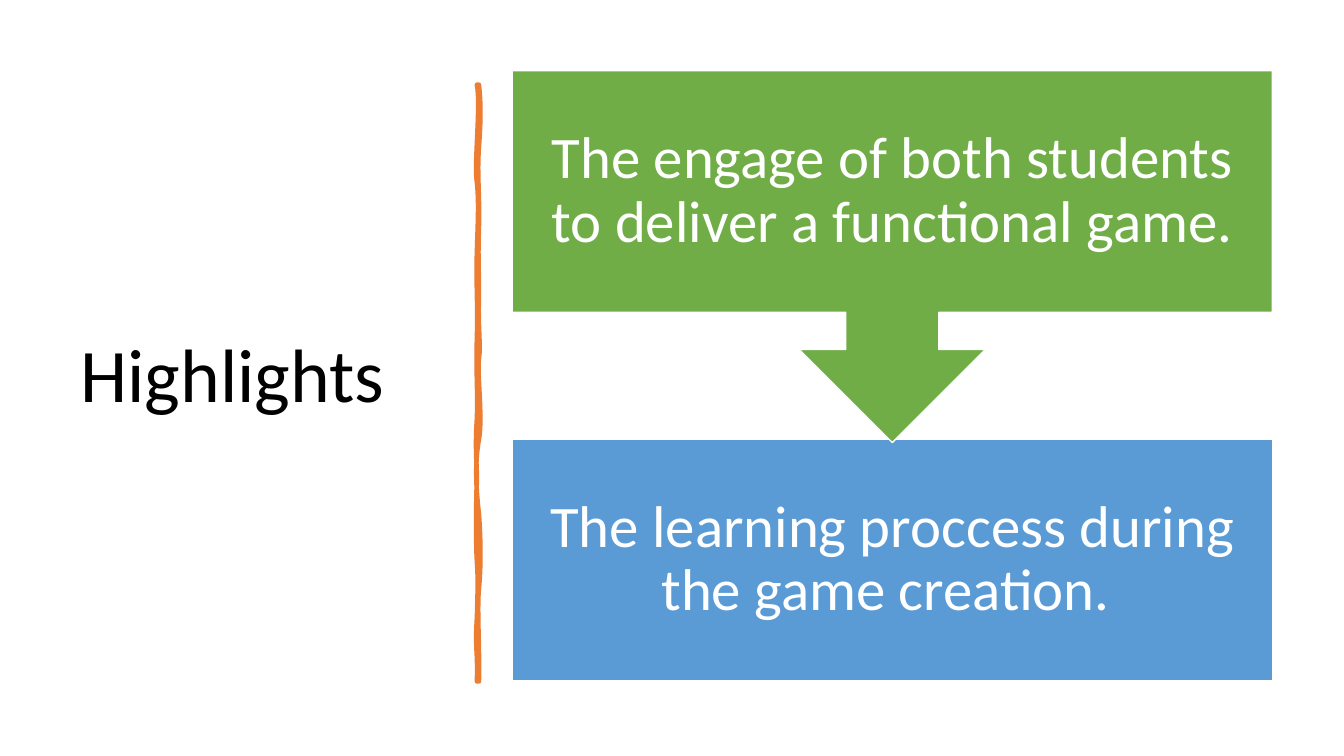
from lxml import etree
from pptx import Presentation
from pptx.dml.color import RGBColor
from pptx.enum.shapes import MSO_SHAPE
from pptx.enum.text import MSO_ANCHOR, PP_ALIGN
from pptx.oxml.ns import qn
from pptx.util import Inches, Pt

RECTANGLE = MSO_SHAPE.RECTANGLE
CALLOUT = MSO_SHAPE.DOWN_ARROW_CALLOUT
MIDDLE = MSO_ANCHOR.MIDDLE
LEFT, CENTER = PP_ALIGN.LEFT, PP_ALIGN.CENTER

FONT = "Calibri"
BLACK, WHITE = "000000", "FFFFFF"
GREEN, BLUE, ORANGE = "70AD47", "5B9BD5", "ED7D31"

BOX_LEFT, BOX_WIDTH = 5.08, 7.54
BRUSH_START = (4.75, 0.84)
BRUSH_CURVES = [
    ((4.77, 1.02), (4.77, 1.19), (4.75, 1.46)),
    ((4.73, 1.73), (4.76, 1.95), (4.75, 2.26)),
    ((4.74, 2.57), (4.75, 2.62), (4.75, 2.94)),
    ((4.74, 3.25), (4.77, 3.42), (4.75, 3.56)),
    ((4.73, 3.70), (4.79, 4.14), (4.75, 4.36)),
    ((4.71, 4.57), (4.72, 4.84), (4.75, 5.10)),
    ((4.77, 5.36), (4.77, 5.64), (4.75, 5.84)),
    ((4.73, 6.03), (4.76, 6.50), (4.75, 6.76)),
    ((4.74, 6.76), (4.73, 6.76), (4.73, 6.76)),
    ((4.74, 6.46), (4.71, 6.44), (4.73, 6.13)),
    ((4.74, 5.83), (4.74, 5.70), (4.73, 5.57)),
    ((4.72, 5.44), (4.72, 4.95), (4.73, 4.77)),
    ((4.73, 4.59), (4.71, 4.45), (4.73, 4.15)),
    ((4.74, 3.86), (4.72, 3.73), (4.73, 3.35)),
    ((4.74, 2.98), (4.72, 2.81), (4.73, 2.50)),
    ((4.74, 2.18), (4.75, 2.00), (4.73, 1.81)),
    ((4.70, 1.63), (4.77, 1.04), (4.73, 0.84)),
]


def color(value):
    return RGBColor.from_string(value)


def style_shape(shape, fill, line, line_width):
    shape.shadow.inherit = False
    shape.fill.solid()
    shape.fill.fore_color.rgb = color(fill)
    shape.line.color.rgb = color(line)
    shape.line.width = Pt(line_width)


def write_text(shape, text, size, text_color, alignment, inset=None):
    frame = shape.text_frame
    frame.word_wrap = True
    frame.vertical_anchor = MIDDLE
    if inset is not None:
        frame.margin_left = frame.margin_right = Inches(inset)
        frame.margin_top = frame.margin_bottom = Inches(inset)
    paragraph = frame.paragraphs[0]
    paragraph.alignment = alignment
    paragraph.line_spacing = 0.9
    run = paragraph.add_run()
    run.text = text
    run.font.name = FONT
    run.font.size = Pt(size)
    run.font.color.rgb = color(text_color)


def add_title(slide, text):
    title = slide.shapes.add_textbox(Inches(0.7), Inches(0.69), Inches(3.74), Inches(6.11))
    write_text(title, text, 54, BLACK, LEFT)


def add_step(slide, kind, top, height, fill, text):
    step = slide.shapes.add_shape(
        kind, Inches(BOX_LEFT), Inches(top), Inches(BOX_WIDTH), Inches(height))
    style_shape(step, fill, WHITE, 1)
    write_text(step, text, 42, WHITE, CENTER, inset=0.33)


def bend_segments(shape):
    segments = list(shape.element.iter(qn("a:lnTo")))
    for first in range(0, len(segments), 3):
        group = segments[first:first + 3]
        curve = etree.Element(qn("a:cubicBezTo"))
        group[0].addprevious(curve)
        for segment in group:
            curve.append(segment[0])
            segment.getparent().remove(segment)


def add_brush_line(slide):
    points = [(Inches(x), Inches(y)) for curve in BRUSH_CURVES for x, y in curve]
    builder = slide.shapes.build_freeform(*(Inches(value) for value in BRUSH_START))
    builder.add_line_segments(points, close=True)
    brush_line = builder.convert_to_shape()
    bend_segments(brush_line)
    style_shape(brush_line, ORANGE, ORANGE, 3.25)


def main():
    presentation = Presentation()
    presentation.slide_width = Inches(13.33)
    presentation.slide_height = Inches(7.5)
    slide = presentation.slides.add_slide(presentation.slide_layouts[6])

    add_title(slide, "Highlights")
    add_brush_line(slide)
    add_step(slide, RECTANGLE, 4.36, 2.39, BLUE,
             "The learning proccess during the game creation. ")
    add_step(slide, CALLOUT, 0.7, 3.69, GREEN,
             "The engage of both students to deliver a functional game. ")

    presentation.save("out.pptx")


main()
